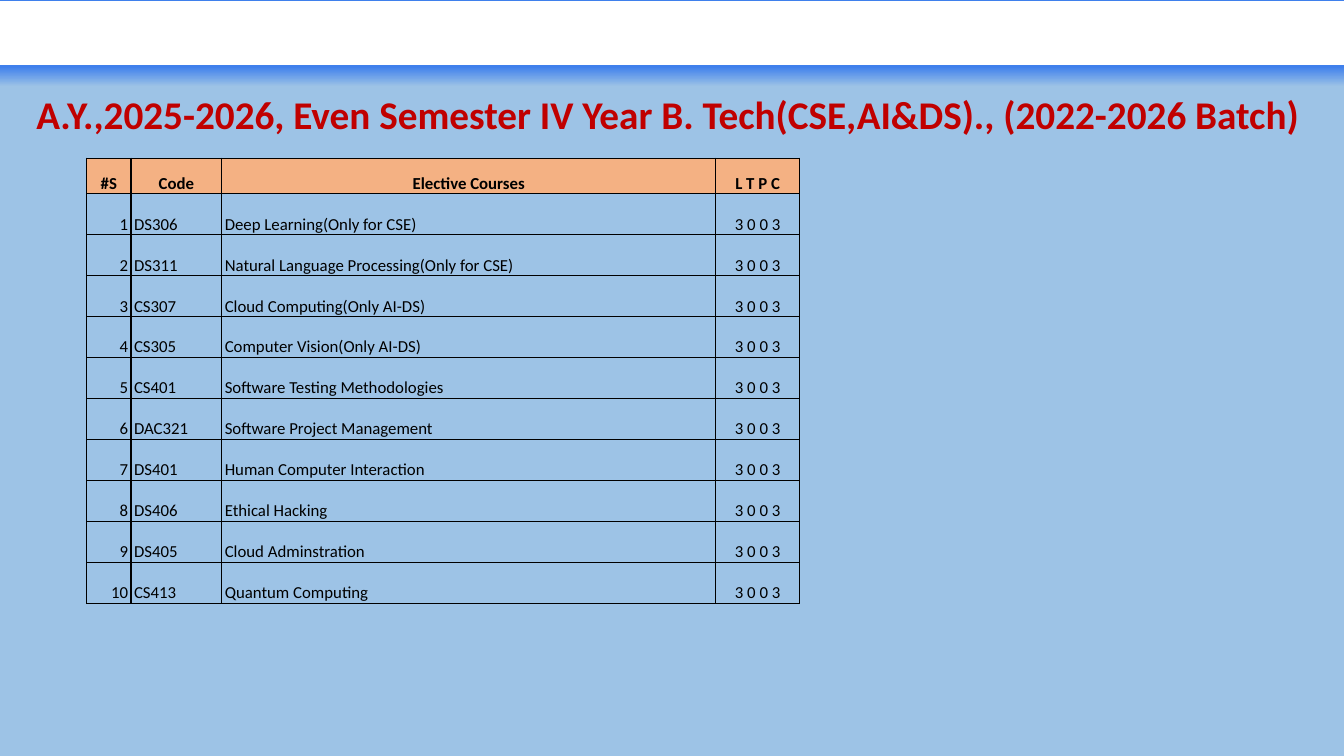
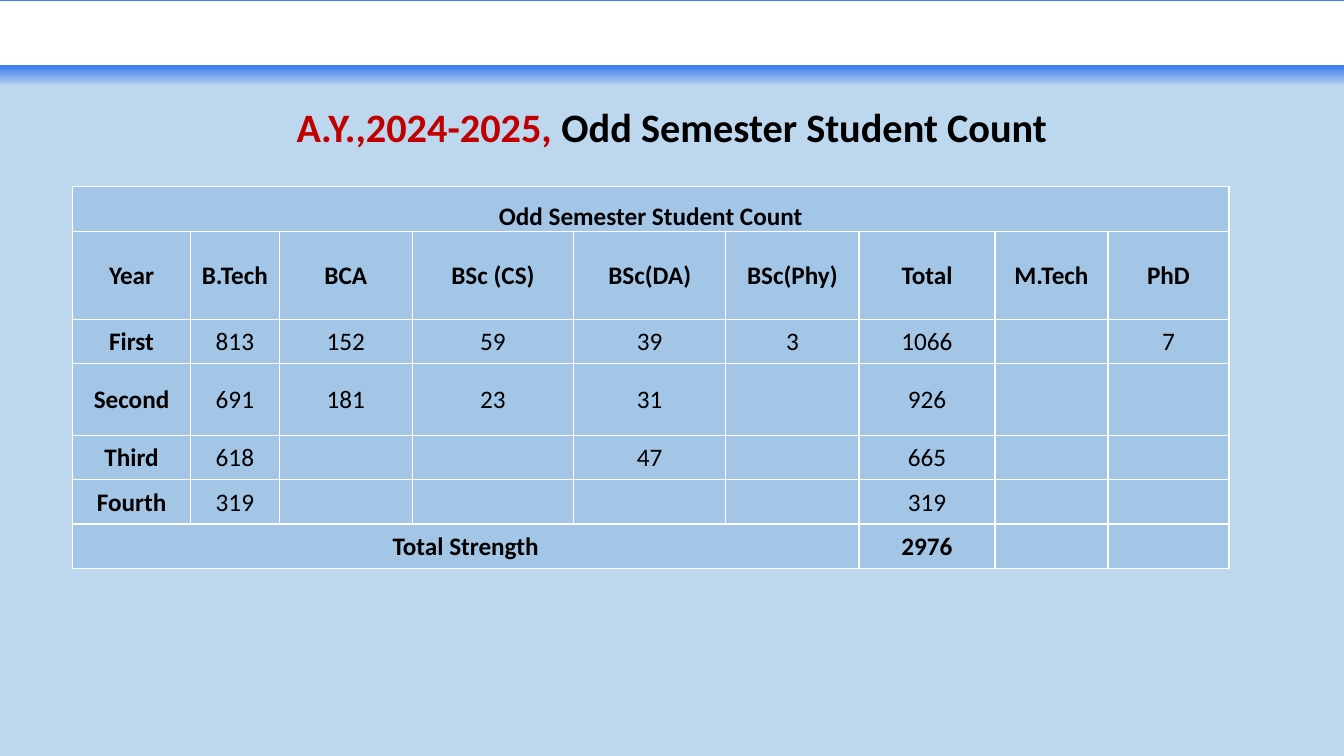
import lxml.etree
import pptx
import pptx.dml.color
import pptx.enum.shapes
import pptx.enum.text
import pptx.oxml.ns
import pptx.util

RGBColor = pptx.dml.color.RGBColor
Inches = pptx.util.Inches
Pt = pptx.util.Pt
ALIGN = pptx.enum.text.PP_ALIGN
ANCHOR = pptx.enum.text.MSO_ANCHOR
qn = pptx.oxml.ns.qn

SKY = RGBColor(0x9D, 0xC3, 0xE6)
PALE_SKY = RGBColor(0xBD, 0xD7, 0xEE)
BAND_BLUE = RGBColor(0x3F, 0x80, 0xEC)
RED = RGBColor(0xC0, 0x00, 0x00)
PEACH = RGBColor(0xF4, 0xB1, 0x83)
BLACK = RGBColor(0x00, 0x00, 0x00)
WHITE = RGBColor(0xFF, 0xFF, 0xFF)

FONT = "Calibri"
SLIDE_WIDTH, SLIDE_HEIGHT = 13.33, 7.5
BAND_HEIGHT = 0.86
HEADER_TOP, HEADER_HEIGHT = 0.02, 0.62
TITLE_MARGIN, TITLE_HEIGHT = 0.1, 0.5
HEAD_INSETS = (0.01, 0.01, 0.01, 0)
BODY_INSETS = (0.03, 0, 0.03, 0)

ELECTIVES_TITLE = [
    ("A.Y.,2025-2026, Even Semester IV Year B. Tech(CSE,AI&DS)., (2022-2026 Batch) ", RED),
]
ELECTIVES_HEAD = ("#S", "Code", "Elective Courses", "L T P C")
ELECTIVES = [
    ("DS306", "Deep Learning(Only for CSE)"),
    ("DS311", "Natural Language Processing(Only for CSE)"),
    ("CS307", "Cloud Computing(Only AI-DS)"),
    ("CS305", "Computer Vision(Only AI-DS)"),
    ("CS401", "Software Testing Methodologies"),
    ("DAC321", "Software Project Management"),
    ("DS401", "Human Computer Interaction"),
    ("DS406", "Ethical Hacking"),
    ("DS405", "Cloud Adminstration"),
    ("CS413", "Quantum Computing"),
]
CREDITS = "3 0 0 3"
ELECTIVES_COLUMNS = (0.44, 0.9, 4.9, 0.83)
ELECTIVES_ALIGN = (ALIGN.RIGHT, ALIGN.LEFT, ALIGN.LEFT, ALIGN.CENTER)
ELECTIVES_HEAD_HEIGHT, ELECTIVES_HEIGHT = 0.35, 4.42

COUNT_TITLE = [("A.Y.,2024-2025, ", RED), ("Odd Semester Student Count", BLACK)]
COUNT_ROWS = [
    ("Odd Semester Student Count",) + ("",) * 8,
    ("Year", "B.Tech", "BCA", "BSc (CS)", "BSc(DA)", "BSc(Phy)", "Total", "M.Tech", "PhD"),
    ("First", "813", "152", "59", "39", "3", "1066", "", "7"),
    ("Second", "691", "181", "23", "31", "", "926", "", ""),
    ("Third", "618", "", "", "47", "", "665", "", ""),
    ("Fourth", "319", "", "", "", "", "319", "", ""),
    ("Total Strength", "", "", "", "", "", "2976", "", ""),
]
COUNT_COLUMNS = (1.17, 0.88, 1.32, 1.6, 1.51, 1.32, 1.35, 1.12, 1.2)
COUNT_HEIGHTS = (0.45, 0.87, 0.44, 0.71, 0.44, 0.44, 0.44)
COUNT_OPACITY = 81


def add_rectangle(slide, top, height):
    shape = slide.shapes.add_shape(
        pptx.enum.shapes.MSO_SHAPE.RECTANGLE,
        0, Inches(top), Inches(SLIDE_WIDTH), Inches(height))
    shape.shadow.inherit = False
    return shape


def add_base_slide(presentation, background, title_runs, title_size, title_middle):
    """Add a slide with its background, header band and title."""
    slide = presentation.slides.add_slide(presentation.slide_layouts[6])
    slide.background.fill.solid()
    slide.background.fill.fore_color.rgb = background

    band = add_rectangle(slide, 0, BAND_HEIGHT)
    band.line.fill.background()
    band.fill.gradient()
    band.fill.gradient_angle = 270
    stops = ((BAND_BLUE, 0.77), (background, 1))
    for stop, (color, position) in zip(band.fill.gradient_stops, stops):
        stop.color.rgb = color
        stop.position = position

    header = add_rectangle(slide, HEADER_TOP, HEADER_HEIGHT)
    header.fill.solid()
    header.fill.fore_color.rgb = WHITE
    header.line.color.rgb = WHITE
    header.line.width = Pt(1)

    title = slide.shapes.add_textbox(
        Inches(TITLE_MARGIN), Inches(title_middle - TITLE_HEIGHT / 2),
        Inches(SLIDE_WIDTH - 2 * TITLE_MARGIN), Inches(TITLE_HEIGHT))
    frame = title.text_frame
    frame.word_wrap = True
    frame.vertical_anchor = ANCHOR.MIDDLE
    paragraph = frame.paragraphs[0]
    paragraph.alignment = ALIGN.CENTER
    paragraph.line_spacing = 0.9
    paragraph.font.name = FONT
    paragraph.font.size = Pt(title_size)
    paragraph.font.bold = True
    for text, color in title_runs:
        run = paragraph.add_run()
        run.text = text
        run.font.color.rgb = color
    return slide


def add_grid(slide, left, top, columns, heights):
    table = slide.shapes.add_table(
        len(heights), len(columns), Inches(left), Inches(top),
        Inches(sum(columns)), Inches(sum(heights))).table
    table.first_row = table.horz_banding = False
    for column, width in zip(table.columns, columns):
        column.width = Inches(width)
    for row, height in zip(table.rows, heights):
        row.height = Inches(height)
    return table


def set_borders(cell, color):
    properties = cell._tc.get_or_add_tcPr()
    for index, side in enumerate(("a:lnL", "a:lnR", "a:lnT", "a:lnB")):
        line = lxml.etree.Element(qn(side), w=str(Pt(1)))
        fill = lxml.etree.SubElement(line, qn("a:solidFill"))
        lxml.etree.SubElement(fill, qn("a:srgbClr"), val=str(color))
        properties.insert(index, line)


def fill_cell(cell, text, size, bold, align, anchor, insets, border, fill, opacity=100):
    cell.margin_left, cell.margin_top, cell.margin_right, cell.margin_bottom = map(Inches, insets)
    cell.vertical_anchor = anchor
    if fill is None:
        cell.fill.background()
    else:
        cell.fill.solid()
        cell.fill.fore_color.rgb = fill
    if opacity < 100:
        color = cell._tc.tcPr.find(".//" + qn("a:srgbClr"))
        lxml.etree.SubElement(color, qn("a:alpha"), val=str(opacity * 1000))
    set_borders(cell, border)
    paragraph = cell.text_frame.paragraphs[0]
    paragraph.text = text
    paragraph.alignment = align
    paragraph.font.name = FONT
    paragraph.font.size = Pt(size)
    paragraph.font.bold = bold
    paragraph.font.color.rgb = BLACK


def add_electives_slide(presentation):
    slide = add_base_slide(presentation, SKY, ELECTIVES_TITLE, 28, 1.16)
    row_height = (ELECTIVES_HEIGHT - ELECTIVES_HEAD_HEIGHT) / len(ELECTIVES)
    heights = [ELECTIVES_HEAD_HEIGHT] + [row_height] * len(ELECTIVES)
    table = add_grid(slide, 0.86, 1.57, ELECTIVES_COLUMNS, heights)
    for index, text in enumerate(ELECTIVES_HEAD):
        fill_cell(table.cell(0, index), text, 12, True, ALIGN.CENTER,
                  ANCHOR.BOTTOM, HEAD_INSETS, BLACK, PEACH)
    for number, (code, course) in enumerate(ELECTIVES, start=1):
        for index, text in enumerate((str(number), code, course, CREDITS)):
            fill_cell(table.cell(number, index), text, 12, False, ELECTIVES_ALIGN[index],
                      ANCHOR.BOTTOM, BODY_INSETS, BLACK, None)


def add_count_slide(presentation):
    slide = add_base_slide(presentation, PALE_SKY, COUNT_TITLE, 28.8, 1.28)
    table = add_grid(slide, 0.72, 1.85, COUNT_COLUMNS, COUNT_HEIGHTS)
    last = len(COUNT_ROWS) - 1
    for row, texts in enumerate(COUNT_ROWS):
        for column, text in enumerate(texts):
            bold = row in (0, 1, last) or column == 0
            anchor = ANCHOR.BOTTOM if row == 0 else ANCHOR.MIDDLE
            fill_cell(table.cell(row, column), text, 18, bold, ALIGN.CENTER,
                      anchor, HEAD_INSETS, WHITE, SKY, COUNT_OPACITY)
    table.cell(0, 0).merge(table.cell(0, len(COUNT_COLUMNS) - 1))
    table.cell(last, 0).merge(table.cell(last, 5))


def main():
    presentation = pptx.Presentation()
    presentation.slide_width = Inches(SLIDE_WIDTH)
    presentation.slide_height = Inches(SLIDE_HEIGHT)
    add_electives_slide(presentation)
    add_count_slide(presentation)
    presentation.save("out.pptx")


if __name__ == "__main__":
    main()
